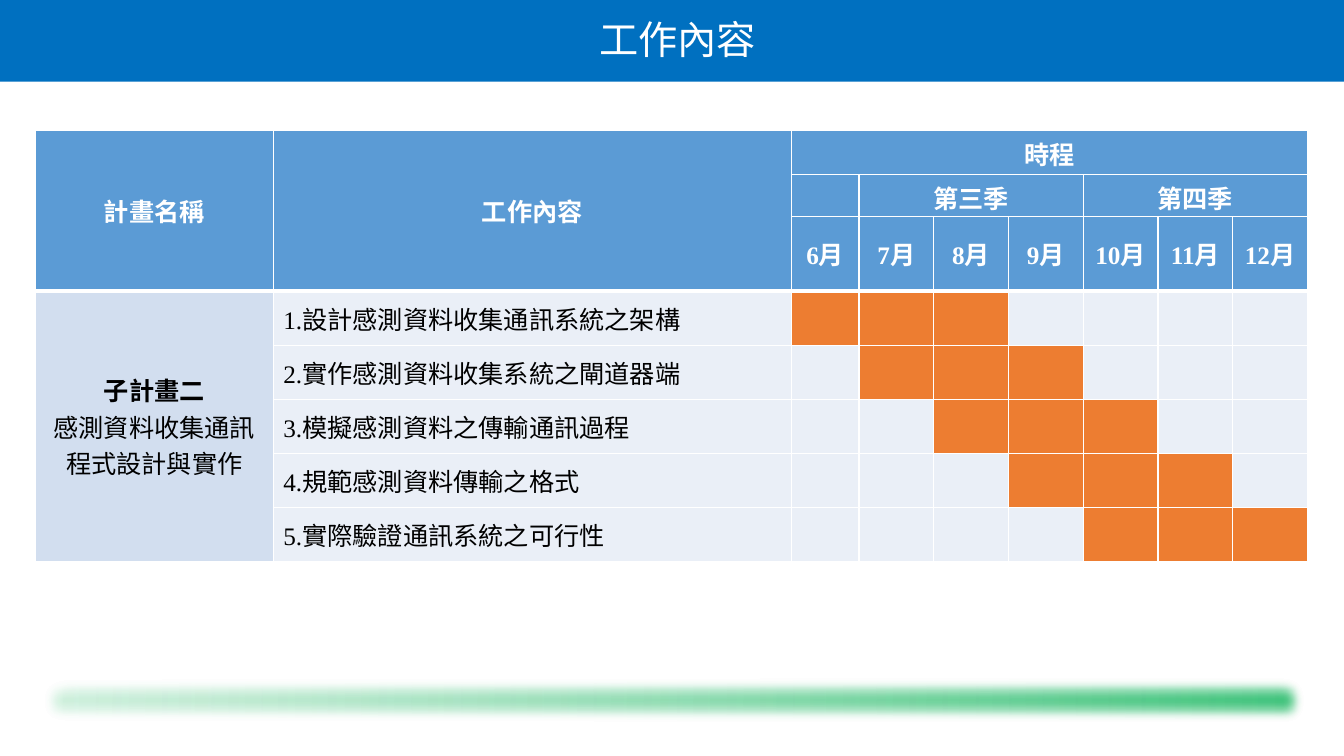
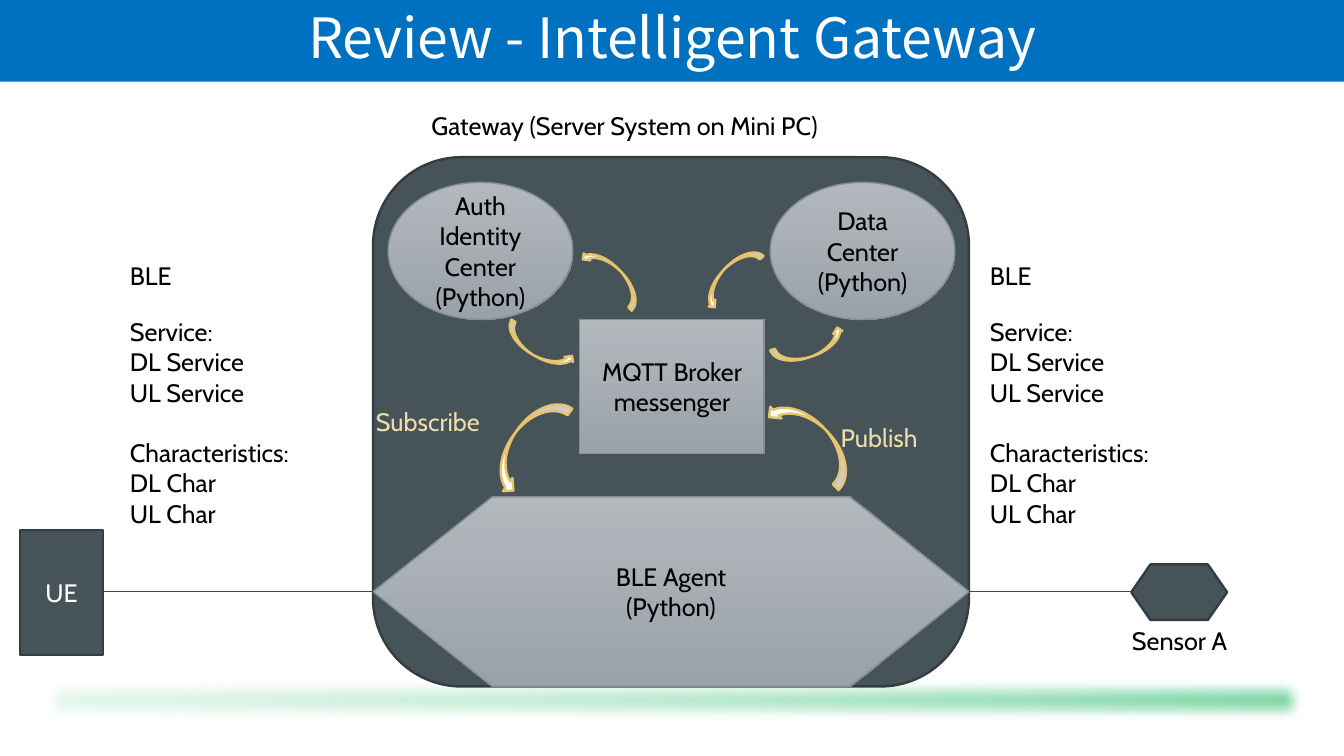
from dataclasses import dataclass

from lxml.etree import SubElement
from pptx import Presentation
from pptx.dml.color import RGBColor
from pptx.enum.shapes import MSO_CONNECTOR, MSO_SHAPE
from pptx.enum.text import MSO_ANCHOR, PP_ALIGN
from pptx.oxml import parse_xml
from pptx.oxml.ns import nsdecls, qn
from pptx.util import Inches, Pt


@dataclass(frozen=True)
class Theme:
    band: str = "0070C0"
    footer: tuple = (("7CD6A3", 20), ("00B050", 50))
    metal: tuple = (("C0C5C9", 90), ("9BA3AB", 100))
    metal_line: str = "858F99"
    slate: str = "465359"
    slate_line: str = "343D42"
    link: str = "3F4B50"
    gold: str = "E6C46D"
    pale_gold: str = "F0DCA7"
    header: str = "5B9BD5"
    project: str = "D2DEEF"
    cell: str = "EAEFF7"
    bar: str = "ED7D31"
    white: str = "FFFFFF"
    black: str = "000000"
    serif: str = "Times New Roman"
    sans: str = "Noto Sans CJK SC"
    label: str = "Cabin"
    body: float = 18
    title: float = 28
    big_title: float = 39.6


@dataclass(frozen=True)
class Box:
    x: float
    y: float
    w: float
    h: float

    def inner(self, x, y, w, h):
        """Box at an offset from this one's top left corner."""
        return Box(self.x + x, self.y + y, w, h)

    def lengths(self):
        return [Inches(v) for v in (self.x, self.y, self.w, self.h)]


T = Theme()


def rgb(color):
    return RGBColor.from_string(color)


def write(tf, lines, color=T.black, align=PP_ALIGN.CENTER, font=T.label,
          size=T.body, bold=False):
    for i, line in enumerate(lines):
        p = tf.paragraphs[0] if i == 0 else tf.add_paragraph()
        p.text = line
        p.alignment = align
        p.font.name, p.font.size, p.font.bold = font, Pt(size), bold
        p.font.color.rgb = rgb(color)


def set_gradient(shape, stops, angle):
    """Two stops of (colour, opacity in percent)."""
    shape.fill.gradient()
    shape.fill.gradient_angle = angle
    for stop, (color, _) in zip(shape.fill.gradient_stops, stops):
        stop.color.rgb = rgb(color)
    for clr, (_, opacity) in zip(shape._element.spPr.iter(qn("a:srgbClr")), stops):
        SubElement(clr, qn("a:alpha"), val=str(opacity * 1000))


def add_shape(s, kind, box, fill, line=None, width=1.75):
    shape = s.shapes.add_shape(kind, *box.lengths())
    shape.shadow.inherit = False
    if isinstance(fill, str):
        shape.fill.solid()
        shape.fill.fore_color.rgb = rgb(fill)
    else:
        set_gradient(shape, fill, 270)
    if line:
        shape.line.color.rgb = rgb(line)
        shape.line.width = Pt(width)
    else:
        shape.line.fill.background()
    return shape


def add_text(s, box, lines, align=PP_ALIGN.LEFT, **style):
    tf = s.shapes.add_textbox(*box.lengths()).text_frame
    tf.word_wrap = True
    write(tf, lines, align=align, **style)
    return tf


def add_link(s, x1, x2, y):
    line = s.shapes.add_connector(MSO_CONNECTOR.STRAIGHT, Inches(x1), Inches(y),
                                  Inches(x2), Inches(y))
    line.line.color.rgb = rgb(T.link)
    line.line.width = Pt(1)
    SubElement(line._element.spPr, qn("a:effectLst"))


def footer_glow(s, box):
    glow = add_shape(s, MSO_SHAPE.RECTANGLE, box, T.footer[0][0])
    set_gradient(glow, T.footer, 0)
    effects = glow._element.spPr.find(qn("a:effectLst"))
    SubElement(effects, qn("a:softEdge"), rad=str(Inches(0.14)))


def new_slide(prs, title, box, font, size, spacing=1.0, glows=1):
    s = prs.slides.add_slide(prs.slide_layouts[6])
    for _ in range(glows):
        footer_glow(s, Box(0.37, 6.69, 12.6, 0.51))
    add_shape(s, MSO_SHAPE.RECTANGLE, Box(-0.01, 0, 13.35, 0.81), T.band)
    tf = add_text(s, box, [title], align=PP_ALIGN.CENTER, color=T.white,
                  font=font, size=size)
    tf.vertical_anchor = MSO_ANCHOR.MIDDLE
    tf.paragraphs[0].line_spacing = spacing
    return s


def style_cell(cell, fill, top=1, bottom=1):
    cell.fill.solid()
    cell.fill.fore_color.rgb = rgb(fill)
    cell.vertical_anchor = MSO_ANCHOR.MIDDLE
    tcPr = cell._tc.get_or_add_tcPr()
    for i, (side, width) in enumerate((("L", 1), ("R", 1), ("T", top), ("B", bottom))):
        tcPr.insert(i, parse_xml(
            f'<a:ln{side} {nsdecls("a")} w="{Pt(width)}"><a:solidFill>'
            f'<a:srgbClr val="{T.white}"/></a:solidFill></a:ln{side}>'))


def schedule_table(s, box):
    tasks = ["設計感測資料收集通訊系統之架構", "實作感測資料收集系統之閘道器端",
             "模擬感測資料之傳輸通訊過程", "規範感測資料傳輸之格式",
             "實際驗證通訊系統之可行性"]
    lead, quarter_months = [2.36, 5.14, 0.67], 6
    widths = lead + [(box.w - sum(lead)) / quarter_months] * quarter_months
    heads = [0.44, 0.42, 0.74]
    heights = heads + [(box.h - sum(heads)) / len(tasks)] * len(tasks)
    first_task, first_month, bar_months = len(heads), 2, 3
    table = s.shapes.add_table(len(heights), len(widths), *box.lengths()).table
    table.first_row = table.horz_banding = False
    for col, width in zip(table.columns, widths):
        col.width = Inches(width)
    for row, height in zip(table.rows, heights):
        row.height = Inches(height)

    for r in range(len(heights)):
        for c in range(len(widths)):
            start = first_month + r - first_task
            if r < first_task:
                fill = T.header
            elif c == 0:
                fill = T.project
            else:
                fill = T.bar if c >= first_month and start <= c < start + bar_months else T.cell
            style_cell(table.cell(r, c), fill, top=3 if r == first_task else 1,
                       bottom=3 if r == first_task - 1 else 1)

    def head(text, r, c, rows=1, cols=1):
        cell = table.cell(r, c)
        if rows * cols > 1:
            cell.merge(table.cell(r + rows - 1, c + cols - 1))
        write(cell.text_frame, [text], color=T.white, font=T.serif, bold=True)

    head("計畫名稱", 0, 0, rows=3)
    head("工作內容", 0, 1, rows=3)
    head("時程", 0, 2, cols=7)
    head("第三季", 1, 3, cols=3)
    head("第四季", 1, 6, cols=3)
    for i in range(7):
        head(f"{i + 6}月", 2, first_month + i)

    project = table.cell(first_task, 0)
    project.merge(table.cell(len(heights) - 1, 0))
    write(project.text_frame, ["子計畫二", "感測資料收集通訊程式設計與實作"], font=T.serif)
    project.text_frame.paragraphs[0].font.bold = True
    for i, task in enumerate(tasks):
        write(table.cell(first_task + i, 1).text_frame, [f"{i + 1}.{task}"],
              align=PP_ALIGN.LEFT, font=T.serif)


def ble_notes(s, box):
    add_text(s, box.inner(0, 0, 0.77, 0.52), ["BLE"])
    tf = add_text(s, box.inner(0, 0.56, 2.35, 2.87),
                  ["Service:", "DL Service", "UL Service",
                   "Characteristics:", "DL Char", "UL Char"])
    tf.paragraphs[3].space_before = Pt(1.2 * T.body)


def gateway(s, box):
    """Gateway frame with its broker, agent, centers and message arrows."""
    add_shape(s, MSO_SHAPE.ROUNDED_RECTANGLE, box, T.slate, T.slate_line)
    parts = [
        (MSO_SHAPE.RECTANGLE, (2.05, 1.61, 1.83, 1.33), ["MQTT Broker", "messenger"]),
        (MSO_SHAPE.FLOWCHART_PREPARATION, (0, 3.37, box.w, 1.88), ["BLE Agent", "(Python)"]),
        (MSO_SHAPE.OVAL, (0.15, 0.25, 1.83, 1.36), ["Auth Identity", "Center", "(Python)"]),
        (MSO_SHAPE.OVAL, (3.94, 0.25, 1.83, 1.36), ["Data", "Center", "(Python)"]),
    ]
    for kind, place, lines in parts:
        shape = add_shape(s, kind, box.inner(*place), T.metal, T.metal_line, 1)
        write(shape.text_frame, lines)

    large, small = (1.08, 0.32), (0.75, 0.19)
    for x, y, size, angle in [
            (3.82, 2.64, large, 226.4), (0.99, 2.68, large, 125.7),
            (2.0, 1.09, small, 226.4), (1.27, 1.79, small, 30.8),
            (3.95, 1.79, small, 341.2), (3.17, 1.09, small, 133.5)]:
        arrow = add_shape(s, MSO_SHAPE.CURVED_UP_ARROW, box.inner(x, y, *size),
                          T.white, T.gold)
        arrow.rotation = angle

    add_text(s, box.inner(-0.07, 2.42, 1.52, 0.52), ["Subscribe"], color=T.pale_gold)
    add_text(s, box.inner(4.54, 2.58, 1.18, 0.52), ["Publish"], color=T.pale_gold)
    add_text(s, box.inner(0.48, -0.52, 4.95, 0.52), ["Gateway (Server System on Mini PC)"])


def network(s, box):
    """User equipment and sensor linked to the gateway between them."""
    frame = box.inner(3.5, 0, 5.91, 5.25)
    ue = box.inner(0, 3.7, 0.82, 1.24)
    sensor = box.inner(11.02, 4.04, 0.95, 0.55)
    gateway(s, frame)
    shape = add_shape(s, MSO_SHAPE.RECTANGLE, ue, T.slate, T.slate_line)
    write(shape.text_frame, ["UE"], color=T.white)
    add_shape(s, MSO_SHAPE.FLOWCHART_PREPARATION, sensor, T.slate, T.slate_line)
    add_text(s, sensor.inner(-0.24, sensor.h, 1.44, 0.52), ["Sensor A"],
             align=PP_ALIGN.CENTER)
    link_y = box.y + 4.31
    add_link(s, frame.x, ue.x + ue.w, link_y)
    add_link(s, sensor.x, frame.x + frame.w, link_y)
    for x in (0.99, 9.52):
        ble_notes(s, box.inner(x, 0.97, 2.35, 3.43))


def main():
    prs = Presentation()
    prs.slide_width, prs.slide_height = Inches(13.33), Inches(7.5)
    s = new_slide(prs, "工作內容", Box(5.72, 0.1, 2, 0.57), T.serif, T.title, glows=2)
    schedule_table(s, Box(0.35, 1.29, 12.62, 4.28))
    s = new_slide(prs, "Review - Intelligent Gateway", Box(0.92, 0.08, 11.5, 0.64),
                  T.sans, T.big_title, spacing=0.9)
    network(s, Box(0.2, 1.56, 11.97, 5.25))
    prs.save("out.pptx")


if __name__ == "__main__":
    main()
